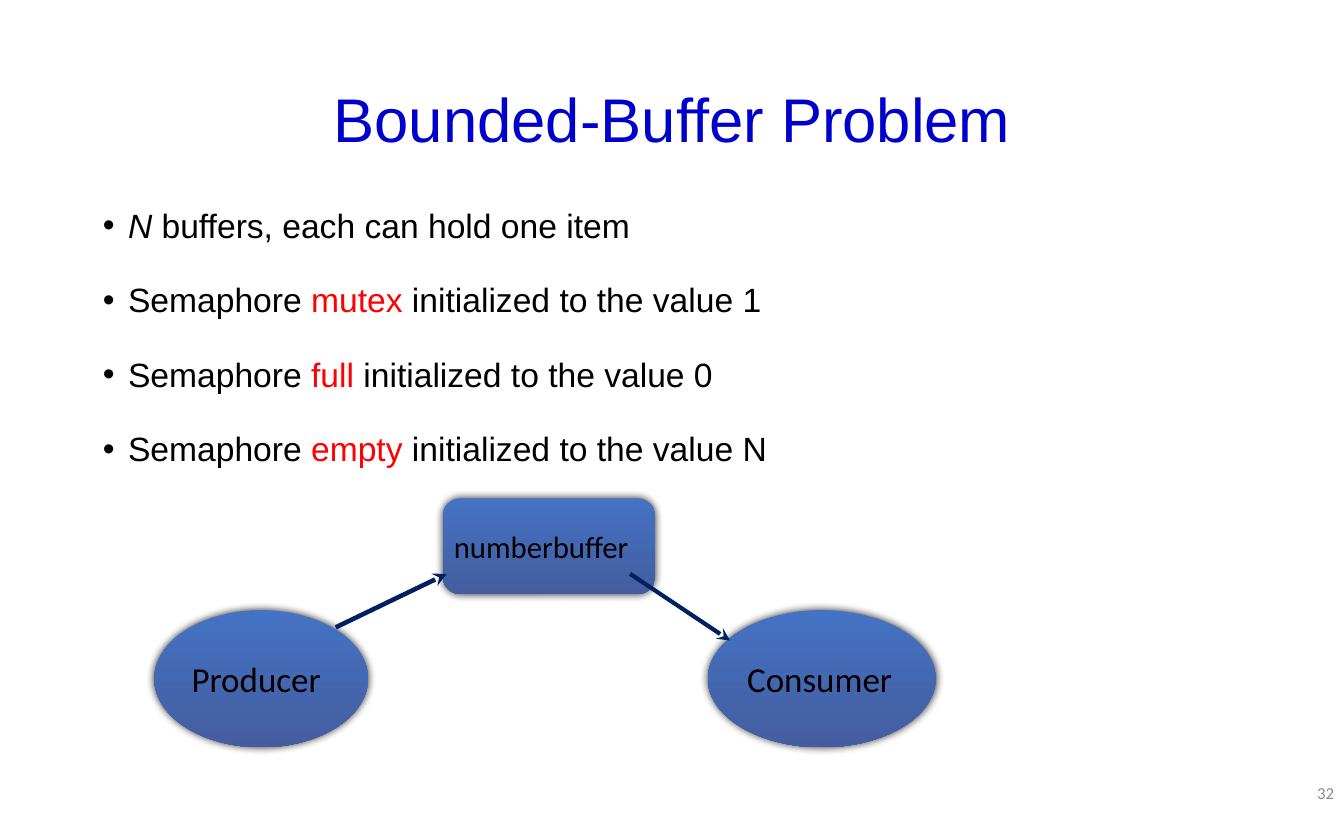
from dataclasses import dataclass

import pptx
import pptx.dml.color
import pptx.enum.shapes
import pptx.enum.text
import pptx.oxml
import pptx.oxml.ns
import pptx.util
from pptx.util import Inches

SHAPE = pptx.enum.shapes.MSO_SHAPE
ALIGN = pptx.enum.text.PP_ALIGN
ANCHOR = pptx.enum.text.MSO_ANCHOR


@dataclass(frozen=True)
class Theme:
    heading_font: str = "Arial"
    label_font: str = "Calibri"
    title: str = "0000CC"
    text: str = "000000"
    keyword: str = "FF0000"
    number: str = "8C8C8C"
    arrow: str = "002060"
    node_top: str = "4472C4"
    node_bottom: str = "445D9F"
    title_size: int = 44
    body_size: int = 24
    actor_size: int = 25
    buffer_size: int = 22
    number_size: int = 12


THEME = Theme()

BULLETS = [
    ("", "N", " buffers, each can hold one item"),
    ("Semaphore ", "mutex", " initialized to the value 1"),
    ("Semaphore ", "full ", "initialized to the value 0"),
    ("Semaphore ", "empty", " initialized to the value N"),
]


def rgb(color):
    return pptx.dml.color.RGBColor.from_string(color)


def xml(tag, attrs="", inner=""):
    ns = pptx.oxml.ns.nsdecls("a")
    return pptx.oxml.parse_xml(f"<a:{tag} {ns} {attrs}>{inner}</a:{tag}>")


def style(font, name, size, color):
    font.name = name
    font.size = pptx.util.Pt(size)
    font.color.rgb = rgb(color)


def place(sp, left, top, width, height):
    sp.left, sp.top = Inches(left), Inches(top)
    sp.width, sp.height = Inches(width), Inches(height)


def set_line(tf, text, align, name, size, color):
    tf.text = text
    tf.word_wrap = True
    tf.auto_size = pptx.enum.text.MSO_AUTO_SIZE.NONE
    tf.vertical_anchor = ANCHOR.MIDDLE
    p = tf.paragraphs[0]
    p.alignment = align
    style(p.runs[0].font, name, size, color)
    return p


def add_title(s, text):
    sp = s.shapes.title
    place(sp, 0.92, 0.43, 11.5, 1.57)
    p = set_line(sp.text_frame, text, ALIGN.CENTER, THEME.heading_font,
                 THEME.title_size, THEME.title)
    p.line_spacing = 0.9


def add_bullets(s, bullets):
    sp = s.placeholders[1]
    place(sp, 0.92, 1.78, 11.5, 5.16)
    tf = sp.text_frame
    tf.auto_size = pptx.enum.text.MSO_AUTO_SIZE.NONE
    for i, (before, term, after) in enumerate(bullets):
        p = tf.add_paragraph() if i else tf.paragraphs[0]
        pPr = p._p.get_or_add_pPr()
        pPr.set("marL", str(Inches(0.25)))
        pPr.set("indent", str(Inches(-0.25)))
        pPr.append(xml("buFont", 'typeface="Arial"'))
        pPr.append(xml("buChar", 'char="•"'))
        p.line_spacing = 1.5
        p.space_before = pptx.util.Pt(10 if i else 0)
        for text in filter(None, (before, term, after)):
            r = p.add_run()
            r.text = text
            is_keyword = text == term and before
            style(r.font, THEME.heading_font, THEME.body_size,
                  THEME.keyword if is_keyword else THEME.text)
            r.font.italic = text == term and not before


def add_node(s, kind, text, size, left, top, width, height):
    sp = s.shapes.add_shape(kind, Inches(left), Inches(top), Inches(width), Inches(height))
    sp.fill.gradient()
    sp.fill.gradient_angle = 270
    for stop, color in zip(sp.fill.gradient_stops, (THEME.node_top, THEME.node_bottom)):
        stop.color.rgb = rgb(color)
    sp.line.fill.background()
    sp.shadow.inherit = False
    effects = sp._element.spPr.find(pptx.oxml.ns.qn("a:effectLst"))
    effects.append(xml(
        "outerShdw", f'blurRad="{pptx.util.Pt(6)}" dist="0" dir="18900000" rotWithShape="0"',
        '<a:srgbClr val="000000"><a:alpha val="80000"/></a:srgbClr>'))
    tf = sp.text_frame
    tf.margin_left = tf.margin_right = tf.margin_top = tf.margin_bottom = Inches(0.06)
    set_line(tf, text, ALIGN.LEFT, THEME.label_font, size, THEME.text)
    return sp


def add_arrow(s, start, end, width):
    line = s.shapes.add_connector(pptx.enum.shapes.MSO_CONNECTOR.STRAIGHT,
                                  *map(Inches, start + end))
    line.line.color.rgb = rgb(THEME.arrow)
    line.line.width = pptx.util.Pt(width)
    line.line._get_or_add_ln().append(xml("tailEnd", 'type="stealth"'))
    line._element.spPr.append(xml("effectLst"))


def add_slide_number(s, text):
    sp = s.shapes.add_textbox(Inches(11.32), Inches(7.65), Inches(2.01), Inches(0.43))
    set_line(sp.text_frame, text, ALIGN.RIGHT, THEME.label_font,
             THEME.number_size, THEME.number)


def main():
    prs = pptx.Presentation()
    prs.slide_width, prs.slide_height = Inches(13.33), Inches(8.13)
    s = prs.slides.add_slide(prs.slide_layouts[1])
    add_title(s, "Bounded-Buffer Problem")
    add_bullets(s, BULLETS)
    add_slide_number(s, "32")
    for text, left, width in (("Producer", 1.53, 2.12), ("Consumer", 7.02, 2.26)):
        add_node(s, SHAPE.OVAL, text, THEME.actor_size, left, 6.05, width, 1.36)
    buffer = add_node(s, SHAPE.ROUNDED_RECTANGLE, "numberbuffer", THEME.buffer_size,
                      4.39, 4.94, 2.11, 0.95)
    buffer.adjustments[0] = 0.185
    add_arrow(s, (3.33, 6.22), (4.43, 5.69), 3.25)
    add_arrow(s, (6.25, 5.69), (7.24, 6.35), 3)
    prs.save("out.pptx")


if __name__ == "__main__":
    main()
